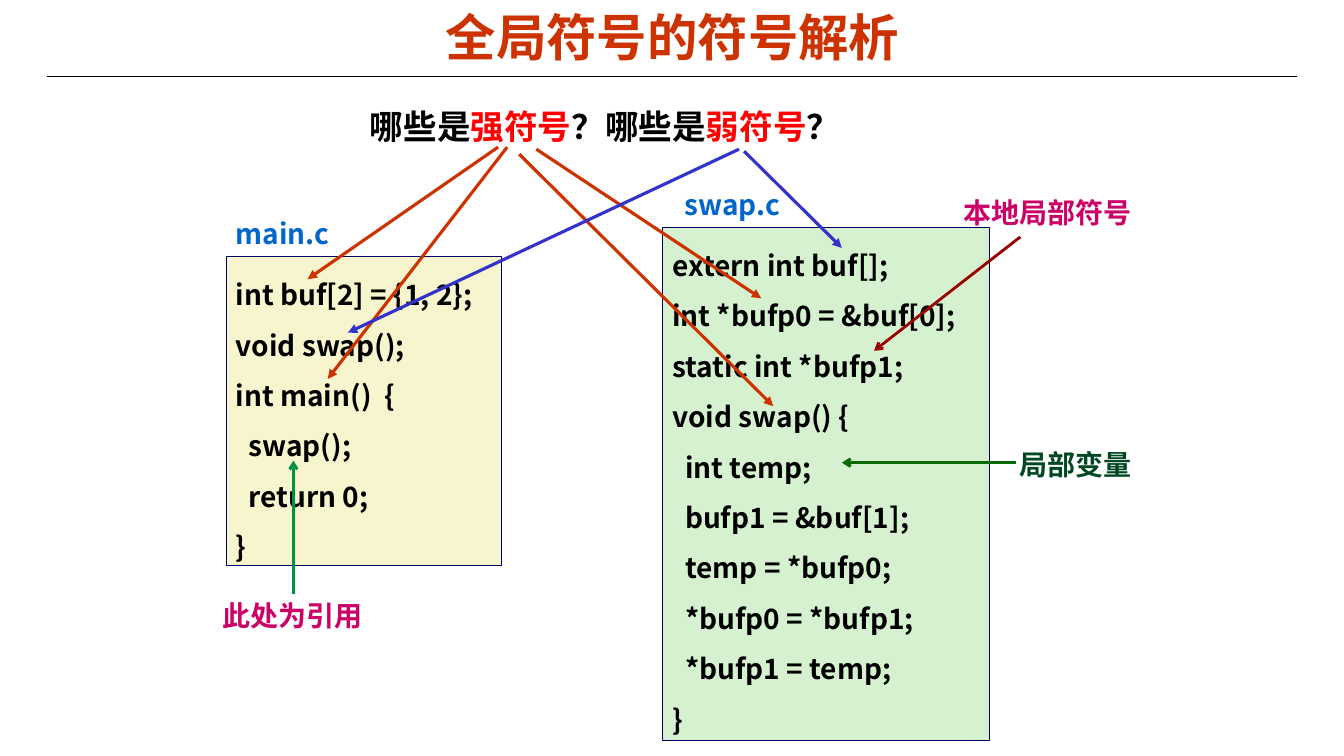
from dataclasses import dataclass

from lxml import etree
from pptx import Presentation
from pptx.dml.color import RGBColor
from pptx.enum import shapes, text
from pptx.oxml import ns
from pptx.util import Inches, Pt


@dataclass(frozen=True)
class Theme:
    latin: str = "Arial"
    code_font: str = "Noto Sans CJK SC"
    title_size: int = 36
    question_size: int = 24
    body_size: int = 20
    title: str = "CC3300"
    ink: str = "000000"
    emphasis: str = "FF0000"
    file_name: str = "0066CC"
    note: str = "CC0066"
    local_note: str = "004821"
    border: str = "000066"
    main_fill: str = "F7F5CD"
    swap_fill: str = "D5F1CF"
    strong: str = "CC3300"
    weak: str = "3333CC"
    reference: str = "009242"
    static: str = "990000"
    local: str = "0A6A0A"


theme = Theme()

# Content: boxes are (left, top, width, height) in inches
TITLE = "全局符号的符号解析"
QUESTION = [("哪些是", theme.ink), ("强符号", theme.emphasis),
            ("？哪些是", theme.ink), ("弱符号", theme.emphasis),
            ("？", theme.ink)]

SOURCE_FILES = [
    ("main.c", (2.24, 2.13, 1.29, 0.42), (2.24, 2.54, 2.73, 3.07), theme.main_fill,
     ["int buf[2] = {1, 2};", "void swap();", "int main()  {",
      "  swap();", "  return 0;", "}"]),
    ("swap.c", (6.69, 1.84, 1.46, 0.42), (6.57, 2.25, 3.24, 5.09), theme.swap_fill,
     ["extern int buf[];", "int *bufp0 = &buf[0];", "static int *bufp1;",
      "void swap() {", "  int temp;", "  bufp1 = &buf[1];", "  temp = *bufp0;",
      "  *bufp0 = *bufp1;", "  *bufp1 = temp;", "}"]),
]

# Notes: text, box, colour, wraps, arrow start, arrow end, arrow colour
# A start of None joins the arrow to the top of the note.
NOTES = [
    ("此处为引用", (2.11, 5.89, 1.6, 0.44), theme.note, False,
     None, (2.91, 4.57), theme.reference),
    ("本地局部符号", (9.46, 1.89, 2.14, 0.44), theme.note, True,
     (10.12, 2.35), (8.67, 3.48), theme.static),
    ("局部变量", (10.01, 4.39, 1.32, 0.44), theme.local_note, False,
     (10.08, 4.59), (8.35, 4.59), theme.local),
]

SYMBOL_ARROWS = [
    (theme.strong, [((5.03, 1.46), (3.25, 3.76)), ((4.94, 1.46), (3.05, 2.77)),
                    ((5.32, 1.48), (7.55, 2.96)), ((5.15, 1.53), (7.67, 4.03))]),
    (theme.weak, [((7.38, 1.5), (8.35, 2.46)), ((7.33, 1.48), (3.45, 3.3))]),
]

presentation = Presentation()
presentation.slide_width, presentation.slide_height = Inches(13.33), Inches(7.5)
slide = presentation.slides.add_slide(presentation.slide_layouts[5])


def inches(values):
    return [Inches(value) for value in values]


def style(paragraph, size, color=None, font=theme.code_font, spacing=None):
    if spacing:
        paragraph.line_spacing = spacing
    paragraph.font.name = font
    paragraph.font.size = Pt(size)
    paragraph.font.bold = True
    if color:
        paragraph.font.color.rgb = RGBColor.from_string(color)


def add_label(words, box, color, wraps=True, spacing=None):
    label = slide.shapes.add_textbox(*inches(box))
    label.text_frame.word_wrap = wraps
    paragraph = label.text_frame.paragraphs[0]
    paragraph.text = words
    style(paragraph, theme.body_size, color, spacing=spacing)
    return label


def add_line(start, end, color, width, head=None):
    line = slide.shapes.add_connector(shapes.MSO_CONNECTOR.STRAIGHT,
                                      *inches(start + end))
    line.line.color.rgb = RGBColor.from_string(color)
    line.line.width = Pt(width)
    if head:
        etree.SubElement(line.line._get_or_add_ln(), ns.qn("a:tailEnd"), type=head)
    etree.SubElement(line._element.spPr, ns.qn("a:effectLst"))
    return line


# Title and rule
add_line((0.47, 0.76), (12.86, 0.76), theme.ink, 0.75)
title = slide.shapes.title
title.left, title.top, title.width, title.height = inches((0.67, 0.06, 12, 0.61))
title.text_frame.text = TITLE
title.text_frame.vertical_anchor = text.MSO_ANCHOR.MIDDLE
heading = title.text_frame.paragraphs[0]
heading.alignment = text.PP_ALIGN.CENTER
style(heading, theme.title_size, theme.title, theme.latin)

# Source files
for file_name, name_box, code_box, fill, code_lines in SOURCE_FILES:
    listing = slide.shapes.add_shape(shapes.MSO_SHAPE.RECTANGLE, *inches(code_box))
    listing.shadow.inherit = False
    listing.fill.solid()
    listing.fill.fore_color.rgb = RGBColor.from_string(fill)
    listing.line.color.rgb = RGBColor.from_string(theme.border)
    listing.line.width = Pt(0.25)
    code = listing.text_frame
    code.word_wrap = True
    code.vertical_anchor = text.MSO_ANCHOR.TOP
    code.text = "\n".join(code_lines)
    for paragraph in code.paragraphs:
        paragraph.alignment = text.PP_ALIGN.LEFT
        style(paragraph, theme.body_size, theme.ink, spacing=1.5)
    add_label(file_name, name_box, theme.file_name, spacing=0.94)

# Notes with their arrows
for words, box, color, wraps, start, end, arrow_color in NOTES:
    note = add_label(words, box, color, wraps)
    arrow = add_line(start or end, end, arrow_color, 2, "arrow")
    if start is None:
        arrow.begin_connect(note, 0)

# Question
question = slide.shapes.add_textbox(*inches((3.57, 1, 6.97, 0.5)))
question.text_frame.word_wrap = True
sentence = question.text_frame.paragraphs[0]
style(sentence, theme.question_size, font=theme.latin)
for words, color in QUESTION:
    run = sentence.add_run()
    run.text = words
    run.font.color.rgb = RGBColor.from_string(color)

# Arrows from each kind of symbol to its definitions
for color, arrows in SYMBOL_ARROWS:
    for start, end in arrows:
        add_line(start, end, color, 2.25, "triangle")

presentation.save("out.pptx")
